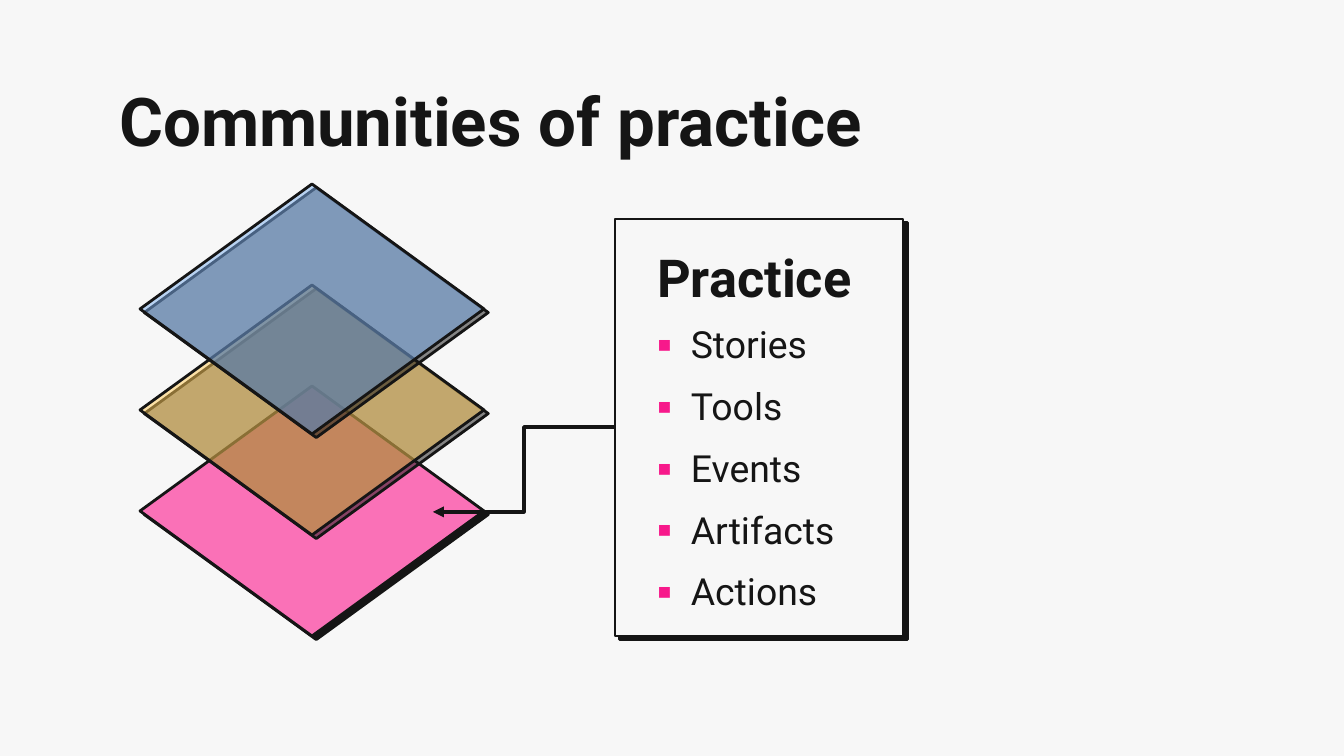
from lxml.etree import SubElement
from pptx import Presentation
from pptx.dml.color import RGBColor
from pptx.enum.shapes import MSO_CONNECTOR, MSO_SHAPE
from pptx.enum.text import MSO_ANCHOR
from pptx.oxml.ns import qn
from pptx.util import Inches, Pt

PX = Inches(10) / 1344
INK = "151515"
PAPER = "F7F7F7"
PINK = "F7198B"


def px(length):
    """Turn a length in px into EMU."""
    return round(length * PX)


def color(hex_code):
    """Turn a hex string into a colour."""
    return RGBColor.from_string(hex_code)


def add_panel(slide, preset, box, fill, alpha=100):
    """Add an outlined shape with a hard offset shadow."""
    panel = slide.shapes.add_shape(preset, *map(px, box))
    panel.fill.solid()
    panel.fill.fore_color.rgb = color(fill)
    if alpha < 100:
        fill_color = panel.fill._xPr.find(qn("a:solidFill"))[0]
        SubElement(fill_color, qn("a:alpha"), val=str(alpha * 1000))
    panel.line.color.rgb = color(INK)
    panel.line.width = Pt(1.5)
    panel.shadow.inherit = False
    effects = panel._element.spPr.find(qn("a:effectLst"))
    shadow = SubElement(effects, qn("a:outerShdw"), blurRad="0",
                        dist=str(Pt(3)), dir=str(40 * 60000),
                        algn="bl", rotWithShape="0")
    SubElement(shadow, qn("a:srgbClr"), val=INK)


def add_bullet(paragraph):
    """Give a paragraph a small pink square bullet."""
    properties = paragraph._p.get_or_add_pPr()
    properties.set("marL", str(Inches(0.25)))
    properties.set("indent", str(-Inches(0.25)))
    bullet_color = SubElement(properties, qn("a:buClr"))
    SubElement(bullet_color, qn("a:srgbClr"), val=PINK)
    SubElement(properties, qn("a:buFont"), typeface="Roboto")
    SubElement(properties, qn("a:buChar"), char="▪")


def add_text(slide, text, box, size, bold=False, anchor=MSO_ANCHOR.TOP,
             bullets=False, spacing=None, after=0):
    """Add a text box with one paragraph for each line of text."""
    frame = slide.shapes.add_textbox(*map(px, box)).text_frame
    frame.word_wrap = True
    frame.vertical_anchor = anchor
    frame.margin_left = frame.margin_right = Inches(0.1)
    frame.margin_top = frame.margin_bottom = Inches(0.1)
    frame.text = text
    for paragraph in frame.paragraphs:
        paragraph.line_spacing = spacing
        paragraph.space_after = Pt(after)
        if bullets:
            add_bullet(paragraph)
        font = paragraph.font
        font.name = "Roboto"
        font.size = Pt(size)
        font.bold = bold
        font.color.rgb = color(INK)


def add_layers(slide, box):
    """Stack three overlapping diamonds from the bottom to the top of the box."""
    left, top, width, height = box
    layer_height = 250
    layers = [("FA71B7", 100), ("FFCA56", 50), ("7BAEED", 50)]
    step = (height - layer_height) / (len(layers) - 1)
    for index, (fill, alpha) in enumerate(layers):
        layer_top = top + height - layer_height - index * step
        add_panel(slide, MSO_SHAPE.DIAMOND,
                  (left, layer_top, width, layer_height), fill, alpha)


def add_practice_text(slide, box):
    """Write the heading and list of the practice card."""
    left, top, width, height = box
    add_text(slide, "Practice", (left + 29, top + 54, width + 14, 48), 28,
             bold=True, anchor=MSO_ANCHOR.BOTTOM)
    practices = ["Stories", "Tools", "Events", "Artifacts", "Actions"]
    add_text(slide, "\n".join(practices),
             (left + 29, top + 83, width + 14, height - 83), 20,
             bullets=True, spacing=1.13, after=6)


def add_arrow(slide, start, end):
    """Draw an elbow arrow from start to end."""
    arrow = slide.shapes.add_connector(MSO_CONNECTOR.ELBOW,
                                       *map(px, (*start, *end)))
    arrow.line.color.rgb = color(INK)
    arrow.line.width = Pt(1.75)
    SubElement(arrow.line._get_or_add_ln(), qn("a:tailEnd"), type="triangle")
    SubElement(arrow._element.spPr, qn("a:effectLst"))


def main():
    """Build the slide and save it."""
    deck = Presentation()
    deck.slide_width, deck.slide_height = px(1344), px(756)
    slide = deck.slides.add_slide(deck.slide_layouts[6])
    slide.background.fill.solid()
    slide.background.fill.fore_color.rgb = color(PAPER)

    card = (615, 219, 288, 417)
    add_text(slide, "Communities of practice", (106, 66, 1133, 85), 36, bold=True)
    add_panel(slide, MSO_SHAPE.RECTANGLE, card, PAPER)
    add_layers(slide, (140, 184, 344, 452))
    add_practice_text(slide, card)
    add_arrow(slide, (615, 427), (433, 512))
    deck.save("out.pptx")


if __name__ == "__main__":
    main()
